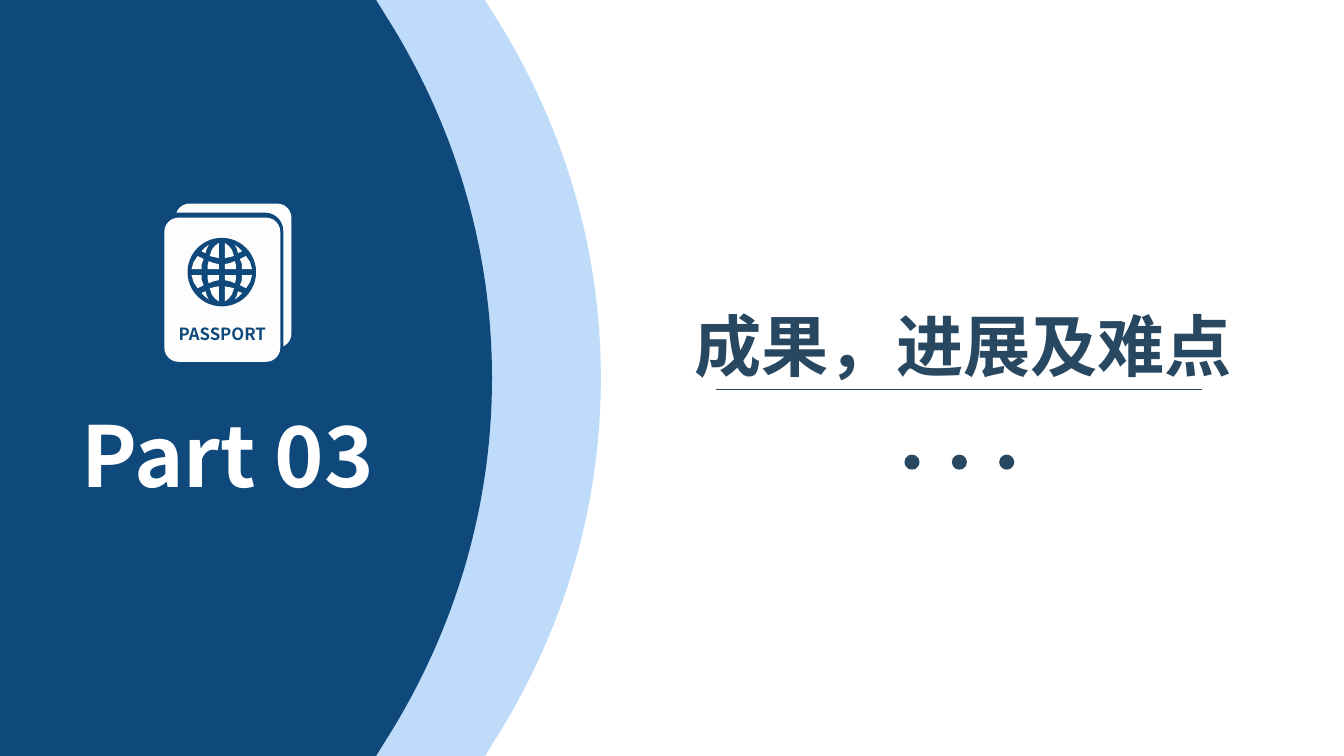
from lxml.etree import SubElement
from pptx import Presentation
from pptx.dml.color import RGBColor
from pptx.enum.shapes import MSO_CONNECTOR, MSO_SHAPE
from pptx.enum.text import MSO_ANCHOR, PP_ALIGN
from pptx.oxml.ns import qn
from pptx.util import Inches, Pt

NAVY = RGBColor(0x0F, 0x49, 0x7C)
SKY = RGBColor(0xBE, 0xDC, 0xF9)
SLATE = RGBColor(0x28, 0x47, 0x60)
WHITE = RGBColor(0xFF, 0xFF, 0xFF)
PAPER = RGBColor(0xFD, 0xFD, 0xFE)
FONT = "Noto Sans CJK SC"

SLIDE_WIDTH, SLIDE_HEIGHT = 13.33, 7.5
BANDS = [(5.96, SKY), (4.88, NAVY)]
PASSPORT_PAGES = [
    (1.74, 2.02, 1.15, 1.43, 0.14, PAPER),
    (1.57, 2.11, 1.24, 1.54, 0.18, NAVY),
    (1.63, 2.16, 1.15, 1.43, 0.14, PAPER),
]
GLOBE_X, GLOBE_Y, GLOBE_RADIUS = 2.2, 2.7, 0.34
GLOBE_CELLS = [
    [(0.03, 0.03), (0.14, 0.03), (0.14, 0.07), (0.13, 0.11), (0.08, 0.09), (0.03, 0.08)],
    [(0.03, 0.29), (0.07, 0.26), (0.1, 0.22), (0.12, 0.16), (0.08, 0.15), (0.03, 0.14)],
    [(0.2, 0.03), (0.3, 0.03), (0.28, 0.1), (0.24, 0.16), (0.22, 0.15), (0.18, 0.13),
     (0.2, 0.08)],
    [(0.13, 0.27), (0.17, 0.24), (0.2, 0.21), (0.19, 0.2), (0.16, 0.19), (0.15, 0.23)],
]
TEXTS = [
    ("Part 03", (0.48, 3.95, 3.56, 1.11), 60, WHITE),
    ("成果，进展及难点", (6.08, 2.96, 6.95, 0.91), 48, SLATE),
    ("PASSPORT", (1.63, 3.18, 1.15, 0.26), 12, NAVY),
]
UNDERLINE = (7.1, 3.86, 11.92, 3.86)
DOT_LEFT, DOT_TOP, DOT_SIZE, DOT_STEP, DOT_COUNT = 8.97, 4.51, 0.15, 0.47, 3

deck = Presentation()
deck.slide_width = Inches(SLIDE_WIDTH)
deck.slide_height = Inches(SLIDE_HEIGHT)
page = deck.slides.add_slide(deck.slide_layouts[6])


def paint(shape, color):
    shape.shadow.inherit = False
    shape.fill.solid()
    shape.fill.fore_color.rgb = color
    shape.line.fill.background()


def add_preset(kind, left, top, width, height, color):
    shape = page.shapes.add_shape(
        kind, Inches(left), Inches(top), Inches(width), Inches(height))
    paint(shape, color)
    return shape


def add_line(x1, y1, x2, y2, color, width):
    line = page.shapes.add_connector(
        MSO_CONNECTOR.STRAIGHT, Inches(x1), Inches(y1), Inches(x2), Inches(y2))
    line.line.color.rgb = color
    line.line.width = Pt(width)
    SubElement(line._element.spPr, qn("a:effectLst"))


def bezier(start, control1, control2, end, steps=40):
    points = []
    for step in range(steps + 1):
        t = step / steps
        weights = ((1 - t) ** 3, 3 * t * (1 - t) ** 2, 3 * t * t * (1 - t), t ** 3)
        points.append(tuple(
            sum(weight * value for weight, value in zip(weights, values))
            for values in zip(start, control1, control2, end)))
    return points


def add_outline(points, color):
    emu = [(Inches(x), Inches(y)) for x, y in points]
    builder = page.shapes.build_freeform(*emu[0], scale=1.0)
    builder.add_line_segments(emu[1:], close=True)
    paint(builder.convert_to_shape(), color)


def add_text(text, frame, size, color):
    box = page.shapes.add_textbox(*map(Inches, frame))
    body = box.text_frame
    body.word_wrap = True
    body.vertical_anchor = MSO_ANCHOR.MIDDLE
    body.margin_left = body.margin_right = body.margin_top = body.margin_bottom = 0
    para = body.paragraphs[0]
    para.alignment = PP_ALIGN.CENTER
    span = para.add_run()
    span.text = text
    span.font.size = Pt(size)
    span.font.bold = True
    span.font.color.rgb = color
    span.font.name = FONT
    SubElement(span._r.get_or_add_rPr(), qn("a:ea"), typeface=FONT)


middle = SLIDE_HEIGHT / 2
for edge, color in BANDS:
    lower = bezier((edge, middle), (edge, 5), (edge - 0.35, 6.18), (edge - 0.97, 7.21))
    lower.append((edge - 1.15, SLIDE_HEIGHT))
    upper = [(x, SLIDE_HEIGHT - y) for x, y in reversed(lower[1:])]
    add_outline([(0, SLIDE_HEIGHT), (0, 0)] + upper + lower, color)

for left, top, width, height, radius, color in PASSPORT_PAGES:
    sheet = add_preset(MSO_SHAPE.ROUNDED_RECTANGLE, left, top, width, height, color)
    sheet.adjustments[0] = radius / width

add_preset(MSO_SHAPE.OVAL, GLOBE_X - GLOBE_RADIUS, GLOBE_Y - GLOBE_RADIUS,
           2 * GLOBE_RADIUS, 2 * GLOBE_RADIUS, NAVY)
for side_x in (-1, 1):
    for side_y in (-1, 1):
        for cell in GLOBE_CELLS:
            add_outline([(GLOBE_X + side_x * x, GLOBE_Y + side_y * y)
                         for x, y in cell], PAPER)

for entry in TEXTS:
    add_text(*entry)

add_line(*UNDERLINE, SLATE, 0.5)
for index in range(DOT_COUNT):
    add_preset(MSO_SHAPE.OVAL, DOT_LEFT + index * DOT_STEP, DOT_TOP,
               DOT_SIZE, DOT_SIZE, SLATE)

deck.save("out.pptx")
